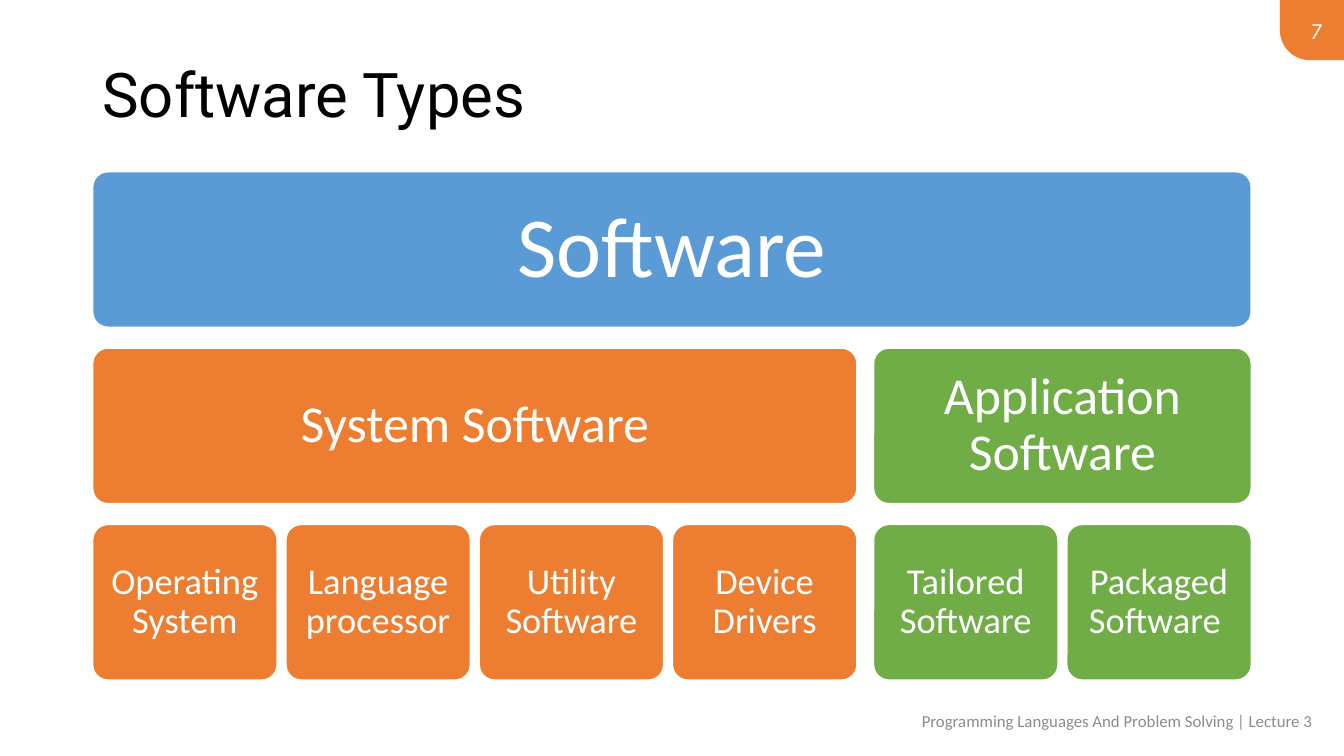
from dataclasses import dataclass

from pptx import Presentation
from pptx.dml.color import RGBColor
from pptx.enum.shapes import MSO_SHAPE
from pptx.enum.text import MSO_ANCHOR, MSO_AUTO_SIZE, PP_ALIGN
from pptx.util import Pt

LEFT, CENTER, RIGHT = PP_ALIGN.LEFT, PP_ALIGN.CENTER, PP_ALIGN.RIGHT
MIDDLE = MSO_ANCHOR.MIDDLE
NO_FIT = MSO_AUTO_SIZE.NONE
ROUNDED, ONE_ROUND = MSO_SHAPE.ROUNDED_RECTANGLE, MSO_SHAPE.ROUND_1_RECTANGLE

WHITE, BLACK, GREY = "FFFFFF", "000000", "8C8C8C"
BLUE, ORANGE, GREEN = "5B9BD5", "ED7D31", "70AD47"

# Grid of the hierarchy, in points
GRID_LEFT, GRID_TOP = 66, 122.4
ROW_HEIGHT, ROW_PITCH = 111.6, 126
LEAF_WIDTH, LEAF_GAP, BRANCH_GAP = 132.2, 5.85, 11.4
FULL_WIDTH = 828


@dataclass
class Level:
    row: int
    size: float
    inset: float


@dataclass
class Branch:
    label: str
    color: str
    leaves: list[str]

    @property
    def width(self) -> float:
        count = len(self.leaves)
        return count * LEAF_WIDTH + (count - 1) * LEAF_GAP


@dataclass
class TextStyle:
    size: float
    color: str
    font: str = "Calibri"
    align: PP_ALIGN = CENTER
    spacing: float = 1.0


ROOT = Level(0, 61, 18)
MIDDLE_LEVEL = Level(1, 37, 11)
LEAF = Level(2, 26, 7)

BRANCHES = [
    Branch("System Software", ORANGE,
           ["Operating System", "Language processor", "Utility Software", "Device Drivers"]),
    Branch("Application Software", GREEN, ["Tailored Software", "Packaged Software "]),
]


def rgb(code: str) -> RGBColor:
    return RGBColor.from_string(code)


def place(box, left: float, top: float, width: float, height: float) -> None:
    box.left, box.top, box.width, box.height = map(Pt, (left, top, width, height))


def write(box, text: str, style: TextStyle) -> None:
    frame = box.text_frame
    frame.text = text
    paragraph = frame.paragraphs[0]
    font = paragraph.runs[0].font
    formats = [
        (frame, {"word_wrap": True, "auto_size": NO_FIT, "vertical_anchor": MIDDLE}),
        (paragraph, {"alignment": style.align, "line_spacing": style.spacing}),
        (font, {"name": style.font, "size": Pt(style.size)}),
    ]
    for target, values in formats:
        for name, value in values.items():
            setattr(target, name, value)
    font.color.rgb = rgb(style.color)


def add_label(page, text: str, area: tuple, style: TextStyle) -> None:
    write(page.shapes.add_textbox(*map(Pt, area)), text, style)


def add_block(page, text: str, color: str, level: Level, left: float, width: float) -> None:
    top = GRID_TOP + level.row * ROW_PITCH
    box = page.shapes.add_shape(ROUNDED, Pt(left), Pt(top), Pt(width), Pt(ROW_HEIGHT))
    box.adjustments[0] = 0.1
    box.shadow.inherit = False
    box.fill.solid()
    box.fill.fore_color.rgb = rgb(color)
    box.line.color.rgb = rgb(WHITE)
    box.line.width = Pt(1.5)
    write(box, text, TextStyle(level.size, WHITE, spacing=0.9))
    for side in ("left", "right", "top", "bottom"):
        setattr(box.text_frame, f"margin_{side}", Pt(level.inset))


def add_corner_tab(page) -> None:
    tab = page.shapes.add_shape(ONE_ROUND, Pt(914.2), Pt(0), Pt(45.8), Pt(43))
    tab.adjustments[0] = 0.5
    tab.rotation = 180
    tab.shadow.inherit = False
    tab.fill.solid()
    tab.fill.fore_color.rgb = rgb(ORANGE)
    tab.line.fill.background()


def add_hierarchy(page) -> None:
    add_block(page, "Software", BLUE, ROOT, GRID_LEFT, FULL_WIDTH)
    left = GRID_LEFT
    for branch in BRANCHES:
        add_block(page, branch.label, branch.color, MIDDLE_LEVEL, left, branch.width)
        for index, leaf in enumerate(branch.leaves):
            leaf_left = left + index * (LEAF_WIDTH + LEAF_GAP)
            add_block(page, leaf, branch.color, LEAF, leaf_left, LEAF_WIDTH)
        left += branch.width + BRANCH_GAP


def main() -> None:
    deck = Presentation()
    deck.slide_width, deck.slide_height = Pt(960), Pt(540)
    page = deck.slides.add_slide(deck.slide_layouts[5])

    # Title
    title = page.shapes.title
    place(title, 66, 28.8, 828, 82)
    write(title, "Software Types", TextStyle(44, BLACK, "Roboto", LEFT, 0.9))

    # Software hierarchy
    add_hierarchy(page)

    # Footer and page number
    add_label(page, "Programming Languages And Problem Solving | Lecture 3",
              (636, 500.5, 324, 28.8), TextStyle(12, GREY))
    add_corner_tab(page)
    add_label(page, "7", (906, 7.2, 45.8, 28.8),
              TextStyle(16, WHITE, "League Spartan", RIGHT))

    deck.save("out.pptx")


if __name__ == "__main__":
    main()
